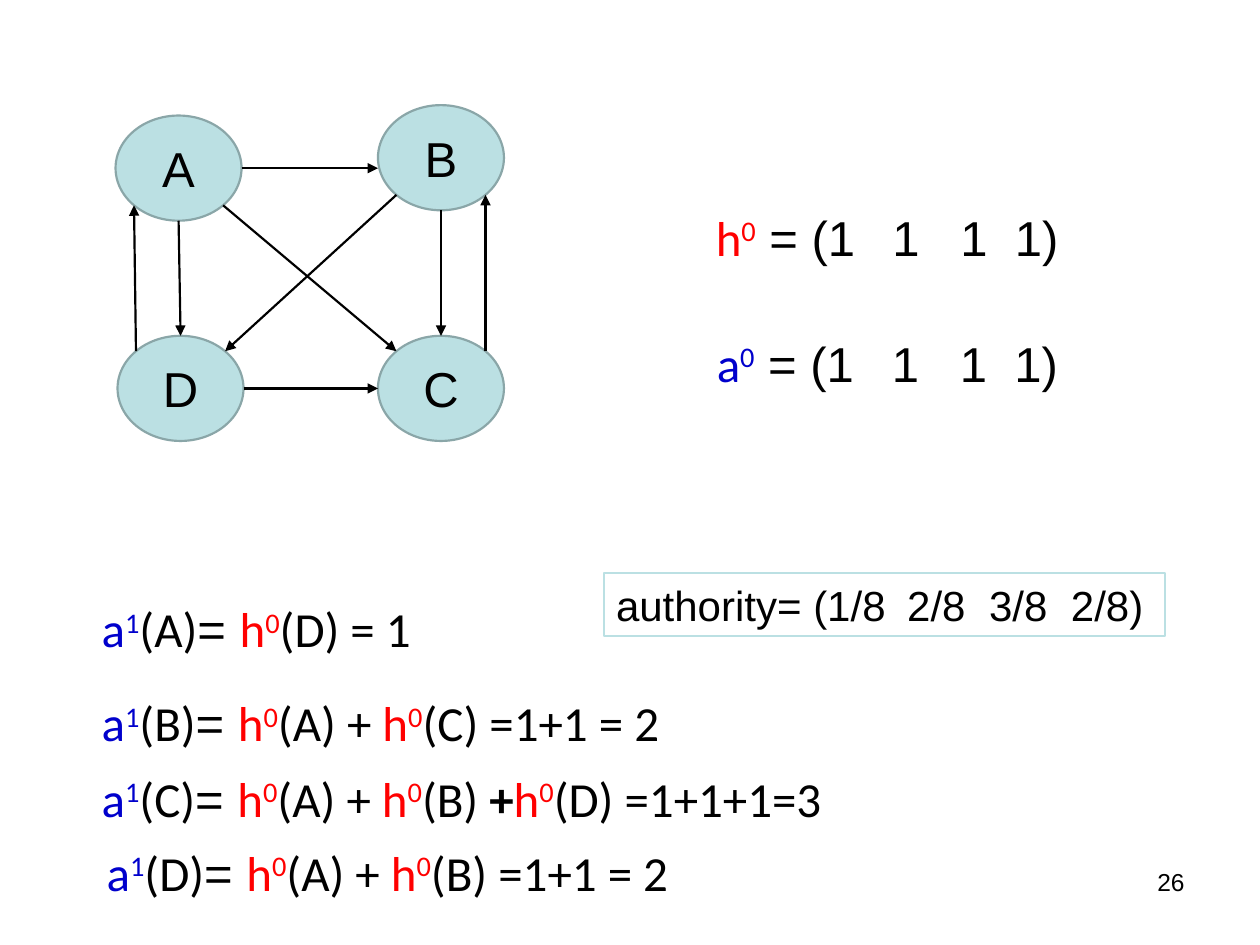
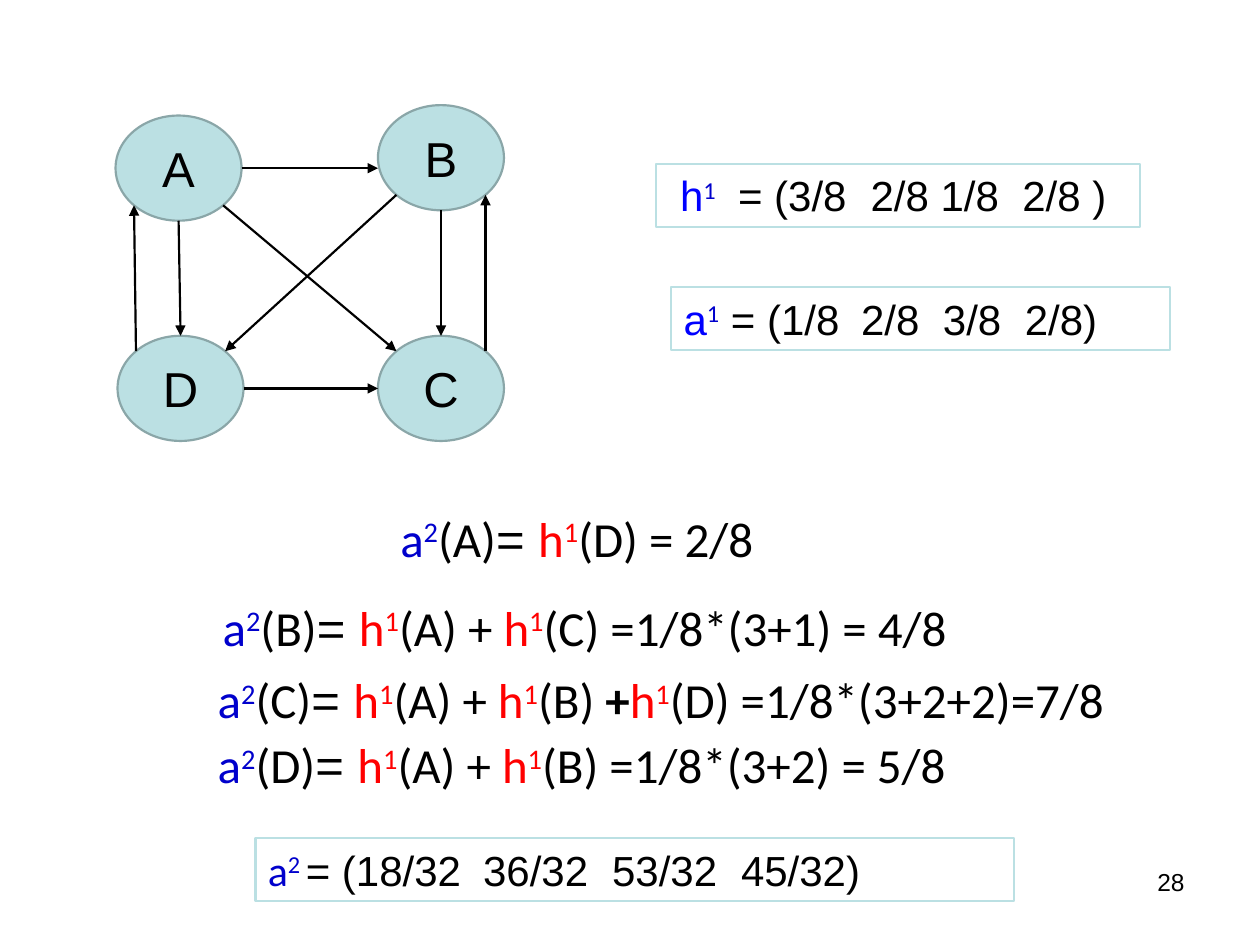
from math import cos, sin, radians
from pptx import Presentation
from pptx.dml.color import RGBColor
from pptx.enum.shapes import MSO_SHAPE as Geom, MSO_CONNECTOR as Link
from pptx.enum.text import MSO_ANCHOR as Anchor, MSO_AUTO_SIZE as Fit, PP_ALIGN as Align
from pptx.oxml.ns import qn
from pptx.util import Cm, Pt
from lxml.etree import SubElement as sub

BLACK = RGBColor(0x00, 0x00, 0x00)
RED = RGBColor(0xFF, 0x00, 0x00)
NAVY = RGBColor(0x00, 0x00, 0xCC)
BLUE = RGBColor(0x00, 0x00, 0xFF)
AQUA = RGBColor(0xBB, 0xE0, 0xE3)
TEAL = RGBColor(0x8A, 0xA6, 0xA8)
EDGE = Pt(1.25)

# Text styles: font, colour, bold, raised
STYLES = {
    "plain": ("Arial", BLACK, False, False),
    "math": ("Calibri", BLACK, False, False),
    "bold": ("Calibri", BLACK, True, False),
    "hub": ("Calibri", RED, False, False),
    "hub up": ("Calibri", RED, False, True),
    "auth": ("Calibri", NAVY, False, False),
    "auth up": ("Calibri", NAVY, False, True),
    "blue": ("Arial", BLUE, False, False),
}

# Link graph: top left corner of each node, then edges with compass sides
NODE_W, NODE_H = 2.54, 2.12
NODES = {"A": (2.33, 2.33), "D": (2.37, 6.77), "C": (7.62, 6.77), "B": (7.62, 2.12)}
ANGLES = {"E": 0, "SE": 45, "S": 90, "SW": 135, "W": 180, "NW": 225, "N": 270, "NE": 315}
EDGES = [
    ("A", "S", "D", "N"), ("A", "SE", "C", "NW"), ("A", "E", "B", "W"),
    ("B", "SW", "D", "NE"), ("B", "S", "C", "N"), ("C", "NE", "B", "SE"),
    ("D", "E", "C", "W"), ("D", "NW", "A", "SW"),
]

# Sums: left, top, width, node, nodes that link to it, result
# Vectors: left, top, width, size, framed, left inset, tab stops, runs
PAGES = [
    {
        "page": "26", "step": 1,
        "sums": [
            (1.8, 11.95, 16.3, "A", "D", " = 1"),
            (1.8, 13.84, 16.3, "B", "AC", " =1+1 = 2"),
            (1.8, 15.37, 16.3, "C", "ABD", " =1+1+1=3"),
            (1.9, 16.85, 16.3, "D", "AB", " =1+1 = 2"),
        ],
        "vectors": [
            (14.18, 4.05, 9.58, 28, False, 0.25, (3.56, 4.93, 6.03),
             [("hub", "h"), ("hub up", "0"), ("plain", " = (1\t1\t1\t1)")]),
            (14.2, 6.6, 8.46, 28, False, 0.25, (3.53, 4.9, 6),
             [("auth", "a"), ("auth up", "0"), ("plain", " = (1\t1\t1\t1)")]),
            (12.17, 11.55, 11.32, 24, True, 0.25, (5.87, 7.52, 9.17),
             [("plain", "authority= (1/8\t2/8\t3/8\t2/8)")]),
        ],
    },
    {
        "page": "28", "step": 2,
        "sums": [
            (7.82, 10.13, 9.1, "A", "D", " = 2/8"),
            (4.24, 11.92, 16.3, "B", "AC", " =1/8*(3+1) = 4/8"),
            (4.14, 13.38, 20, "C", "ABD", " =1/8*(3+2+2)=7/8"),
            (4.14, 14.69, 16.3, "D", "AB", " =1/8*(3+2) = 5/8"),
        ],
        "vectors": [
            (5.15, 16.9, 15.3, 24, True, 0.25, (4.34, 6.94, 9.54),
             [("auth", "a"), ("auth up", "2 "), ("plain", "= (18/32\t36/32\t53/32\t45/32)")]),
            (13.23, 3.3, 9.76, 24, True, 0.48, (1.17, 3.84, 6.9),
             [("blue", "h"), ("auth up", "1"), ("plain", "\t= (3/8\t2/8 1/8\t2/8 )")]),
            (13.53, 5.79, 10.06, 24, True, 0.25, (3.58, 5.23, 6.88),
             [("blue", "a"), ("auth up", "1"), ("plain", " = (1/8\t2/8\t3/8\t2/8)")]),
        ],
    },
]


def write(shape, runs, size, align=Align.LEFT, stops=(), **frame):
    """Fill a shape with one paragraph of styled runs."""
    text = shape.text_frame
    for name, value in {"word_wrap": True, **frame}.items():
        setattr(text, name, value)
    para = text.paragraphs[0]
    para.alignment = align
    if stops:
        tabs = sub(para._p.get_or_add_pPr(), qn("a:tabLst"))
        for stop in stops:
            sub(tabs, qn("a:tab"), pos=str(int(Cm(stop))), algn="l")
    for style, words in runs:
        face, color, bold, raised = STYLES[style]
        run = para.add_run()
        run.text = words
        for name, value in {"name": face, "size": Pt(size), "bold": bold}.items():
            setattr(run.font, name, value)
        run.font.color.rgb = color
        if raised:
            run._r.get_or_add_rPr().set("baseline", "30000")


def outline(shape, color):
    shape.shadow.inherit = False
    shape.line.color.rgb = color
    shape.line.width = EDGE


def rim(node, side):
    """Point on the ellipse of a node, on a compass side."""
    left, top = NODES[node]
    turn = radians(ANGLES[side])
    return (left + NODE_W / 2 * (1 + cos(turn)), top + NODE_H / 2 * (1 + sin(turn)))


def draw_graph(slide):
    for name, (left, top) in NODES.items():
        oval = slide.shapes.add_shape(Geom.OVAL, Cm(left), Cm(top), Cm(NODE_W), Cm(NODE_H))
        oval.fill.solid()
        oval.fill.fore_color.rgb = AQUA
        outline(oval, TEAL)
        write(oval, [("plain", name)], 28, Align.CENTER, vertical_anchor=Anchor.MIDDLE)
    for start, out, end, into in EDGES:
        x1, y1 = rim(start, out)
        x2, y2 = rim(end, into)
        if out == "E":  # sideways arrows stay level
            y2 = y1
        arrow = slide.shapes.add_connector(Link.STRAIGHT, Cm(x1), Cm(y1), Cm(x2), Cm(y2))
        arrow.line.color.rgb = BLACK
        arrow.line.width = EDGE
        sub(arrow.line._get_or_add_ln(), qn("a:tailEnd"), type="triangle")
        sub(arrow._element.spPr, qn("a:effectLst"))


def sum_runs(step, node, sources, result):
    """Authority of a node as the sum of the hub scores that point to it."""
    runs = [("auth", "a"), ("auth up", str(step)), ("math", f"({node})"), ("plain", "= ")]
    joins = [[], [("math", " + ")], [("math", " "), ("bold", "+")]]
    for join, source in zip(joins, sources):
        runs += join + [("hub", "h"), ("hub up", str(step - 1)), ("math", f"({source})")]
    return runs + [("math", result)]


def build(deck, data):
    slide = deck.slides.add_slide(deck.slide_layouts[6])
    shapes = slide.shapes
    # Page number
    foot = shapes.add_textbox(Cm(18.2), Cm(17.36), Cm(5.93), Cm(1.31))
    write(foot, [("plain", data["page"])], 14, Align.RIGHT)
    draw_graph(slide)
    # Sums
    for left, top, width, *parts in data["sums"]:
        box = shapes.add_textbox(Cm(left), Cm(top), Cm(width), Cm(1.45))
        write(box, sum_runs(data["step"], *parts), 28, auto_size=Fit.SHAPE_TO_FIT_TEXT)
    # Score vectors
    for left, top, width, size, framed, inset, stops, runs in data["vectors"]:
        place = Cm(left), Cm(top), Cm(width), Cm(1.27 if framed else 1.45)
        if framed:
            box = shapes.add_shape(Geom.RECTANGLE, *place)
            box.fill.background()
            outline(box, AQUA)
        else:
            box = shapes.add_textbox(*place)
        write(box, runs, size, stops=stops, margin_left=Cm(inset),
              vertical_anchor=Anchor.TOP, auto_size=Fit.SHAPE_TO_FIT_TEXT)


def main():
    deck = Presentation()
    deck.slide_width, deck.slide_height = Cm(25.4), Cm(19.05)
    for data in PAGES:
        build(deck, data)
    deck.save("out.pptx")


if __name__ == "__main__":
    main()
